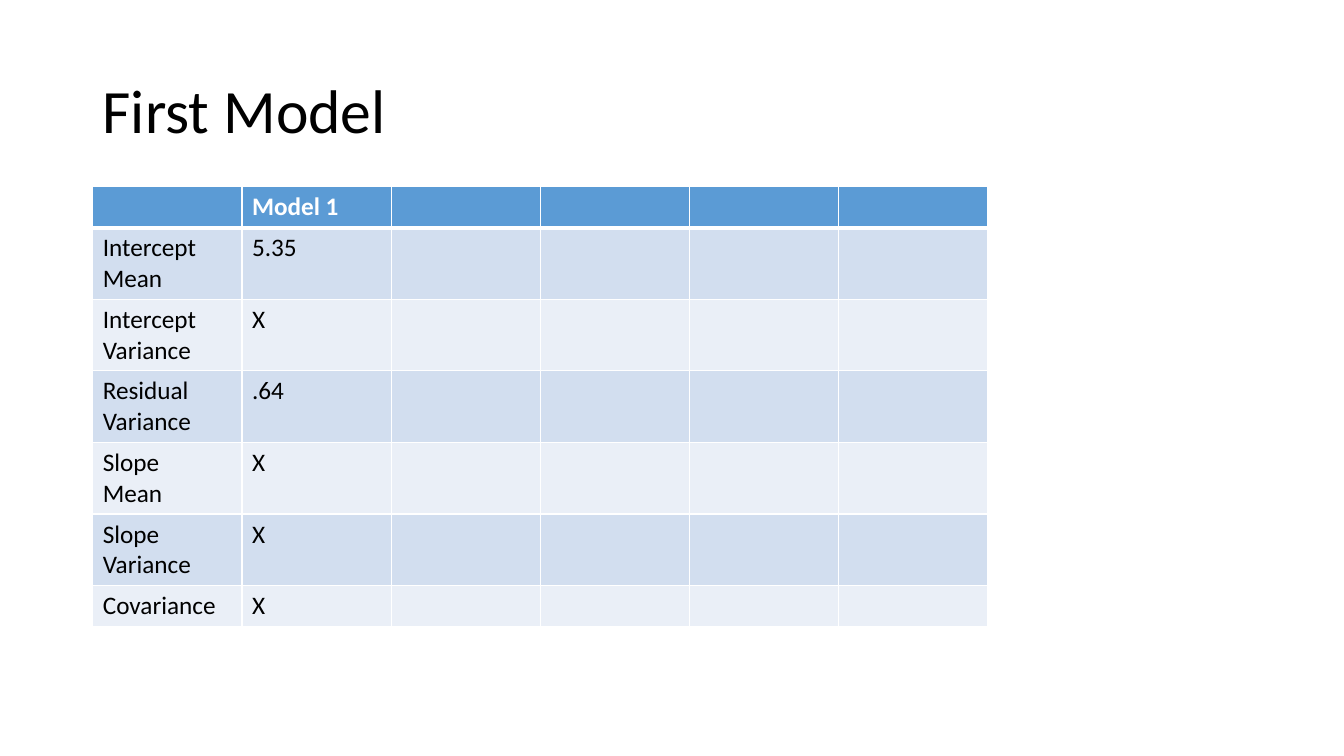
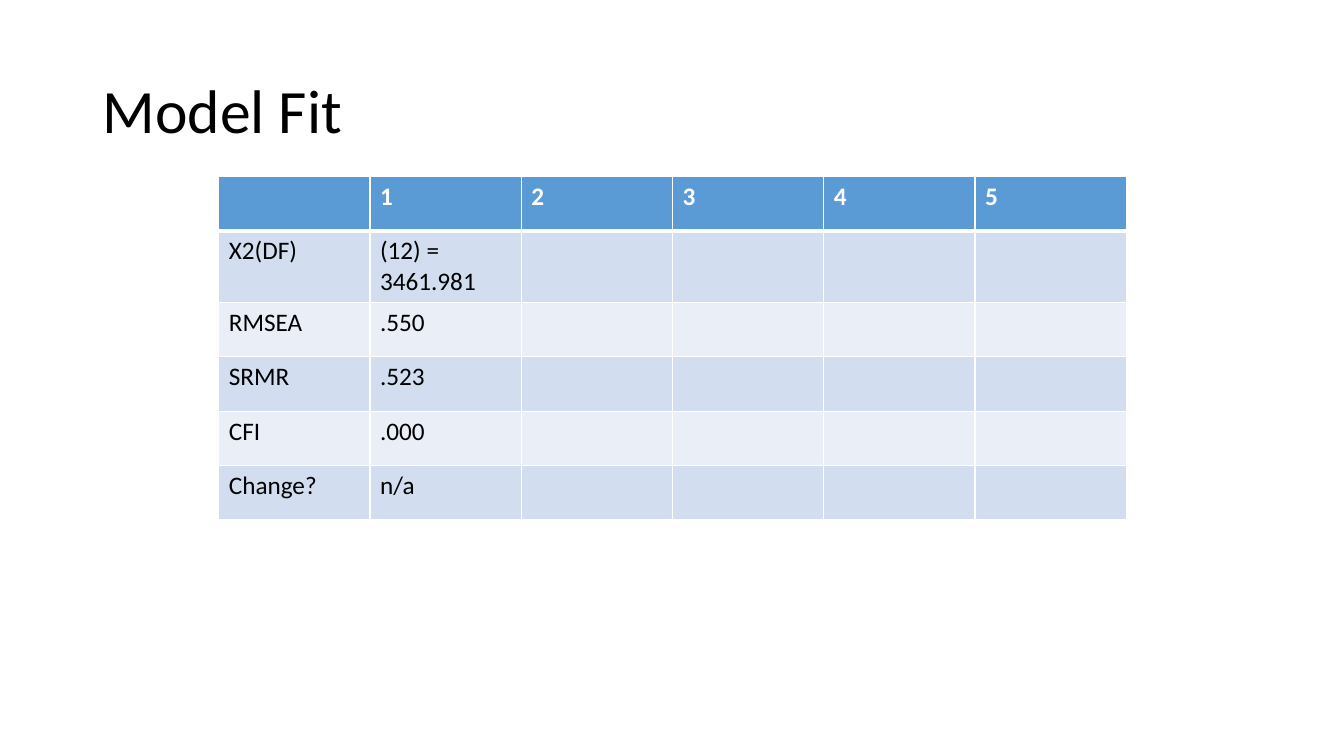
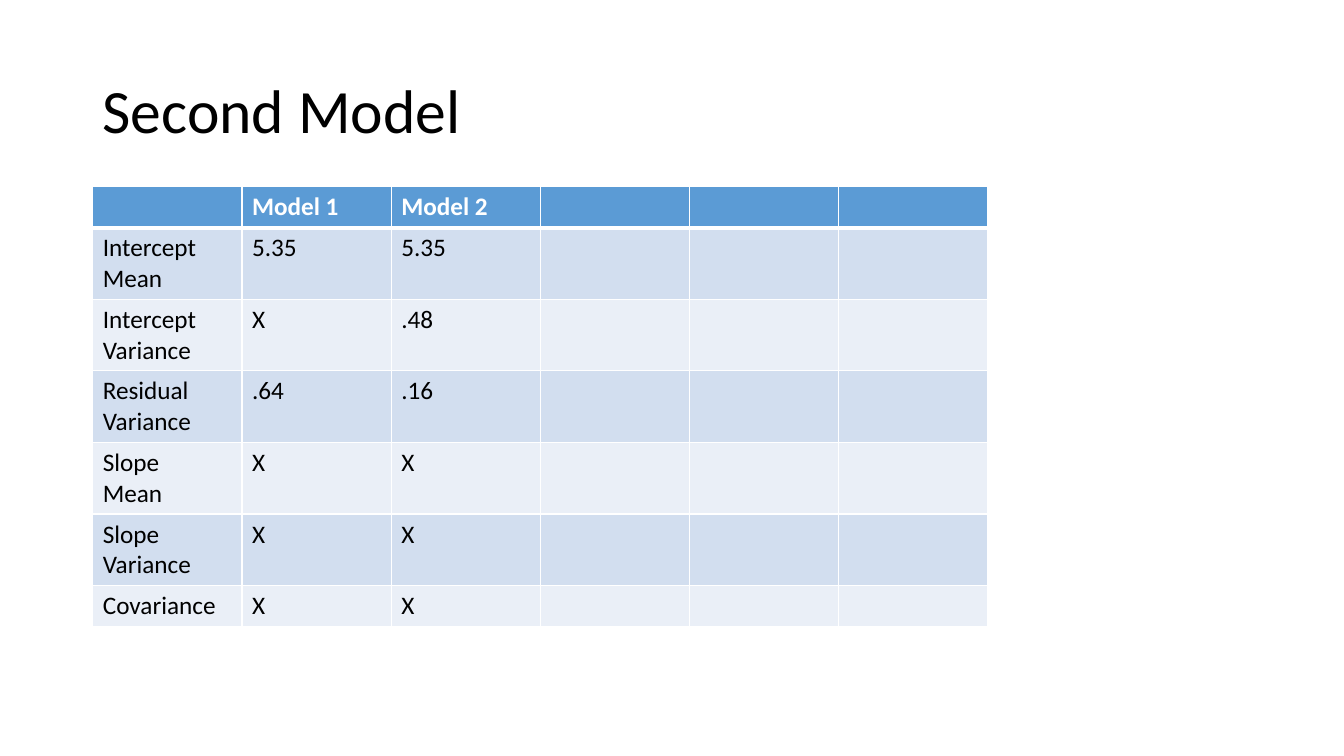
from pptx import Presentation
from pptx.dml.color import RGBColor
from pptx.enum.text import MSO_ANCHOR
from pptx.oxml.ns import qn
from pptx.util import Inches, Pt
from lxml.etree import SubElement

# Shared look
FONT = "Calibri"
BLACK = RGBColor(0x00, 0x00, 0x00)
WHITE = RGBColor(0xFF, 0xFF, 0xFF)
HEADER_BLUE = RGBColor(0x5B, 0x9B, 0xD5)
BAND_DARK = RGBColor(0xD2, 0xDE, 0xEF)
BAND_LIGHT = RGBColor(0xEA, 0xEF, 0xF7)

COLUMN_COUNT = 6
TWO_LINE_HEIGHT = 0.71

# Content: one list per row, columns without values stay empty
PARAMETERS = ["Intercept\nMean", "Intercept\nVariance", "Residual\nVariance",
              "Slope\nMean", "Slope\nVariance", "Covariance"]
MODEL_1 = ["5.35", "X", ".64", "X", "X", "X"]
MODEL_2 = ["5.35", ".48", ".16", "X", "X", "X"]
MODEL_FIT = [["", "1", "2", "3", "4", "5"],
             ["X2(DF)", "(12) = 3461.981"],
             ["RMSEA", ".550"],
             ["SRMR", ".523"],
             ["CFI", ".000"],
             ["Change?", "n/a"]]


def add_span(para, text, size, color, bold=False):
    span = para.add_run()
    span.text = text
    span.font.name = FONT
    span.font.size = Pt(size)
    span.font.bold = bold
    span.font.color.rgb = color


def add_page(deck, title):
    """Add a blank page with the shared title."""
    page = deck.slides.add_slide(deck.slide_layouts[6])
    box = page.shapes.add_textbox(Inches(0.92), Inches(0.4),
                                  Inches(11.5), Inches(1.45))
    frame = box.text_frame
    frame.word_wrap = True
    frame.vertical_anchor = MSO_ANCHOR.MIDDLE
    para = frame.paragraphs[0]
    para.line_spacing = 0.9
    add_span(para, title, 44, BLACK)
    return page


def set_borders(cell, top, bottom):
    """Draw white borders; must run before the cell gets its fill."""
    properties = cell._tc.get_or_add_tcPr()
    for side, width in (("L", 1), ("R", 1), ("T", top), ("B", bottom)):
        line = SubElement(properties, qn(f"a:ln{side}"), w=str(Pt(width)))
        fill = SubElement(line, qn("a:solidFill"))
        SubElement(fill, qn("a:srgbClr"), val=str(WHITE))


def fill_cell(cell, text, row_index):
    is_header = row_index == 0
    set_borders(cell, top=3 if row_index == 1 else 1,
                bottom=3 if is_header else 1)
    cell.fill.solid()
    band = BAND_DARK if row_index % 2 else BAND_LIGHT
    cell.fill.fore_color.rgb = HEADER_BLUE if is_header else band

    frame = cell.text_frame
    for index, line in enumerate(text.split("\n") if text else []):
        para = frame.add_paragraph() if index else frame.paragraphs[0]
        add_span(para, line, 18, WHITE if is_header else BLACK, is_header)


def add_grid(page, rows, left, top, column_width, row_height, tall_rows):
    """Add a banded table with equal columns; tall rows hold two lines."""
    heights = [TWO_LINE_HEIGHT if index in tall_rows else row_height
               for index in range(len(rows))]
    table = page.shapes.add_table(
        len(rows), COLUMN_COUNT, Inches(left), Inches(top),
        Inches(column_width * COLUMN_COUNT), Inches(sum(heights))).table
    table.horz_banding = False
    for row_index, (values, height) in enumerate(zip(rows, heights)):
        table.rows[row_index].height = Inches(height)
        padded = values + [""] * (COLUMN_COUNT - len(values))
        for column_index, text in enumerate(padded):
            fill_cell(table.cell(row_index, column_index), text, row_index)


def add_model_page(deck, title, models):
    """Add a page that compares the parameters of the given models."""
    header = [""] + [f"Model {number}" for number in range(1, len(models) + 1)]
    rows = [header] + [list(row) for row in zip(PARAMETERS, *models)]
    add_grid(add_page(deck, title), rows, left=0.92, top=1.85,
             column_width=1.48, row_height=0.41, tall_rows=range(1, 6))


def main():
    deck = Presentation()
    deck.slide_width = Inches(13.33)
    deck.slide_height = Inches(7.5)

    add_model_page(deck, "First Model", [MODEL_1])
    add_grid(add_page(deck, "Model Fit"), MODEL_FIT, left=2.17, top=1.75,
             column_width=1.5, row_height=0.54, tall_rows=[1])
    add_model_page(deck, "Second Model", [MODEL_1, MODEL_2])

    deck.save("out.pptx")


if __name__ == "__main__":
    main()
